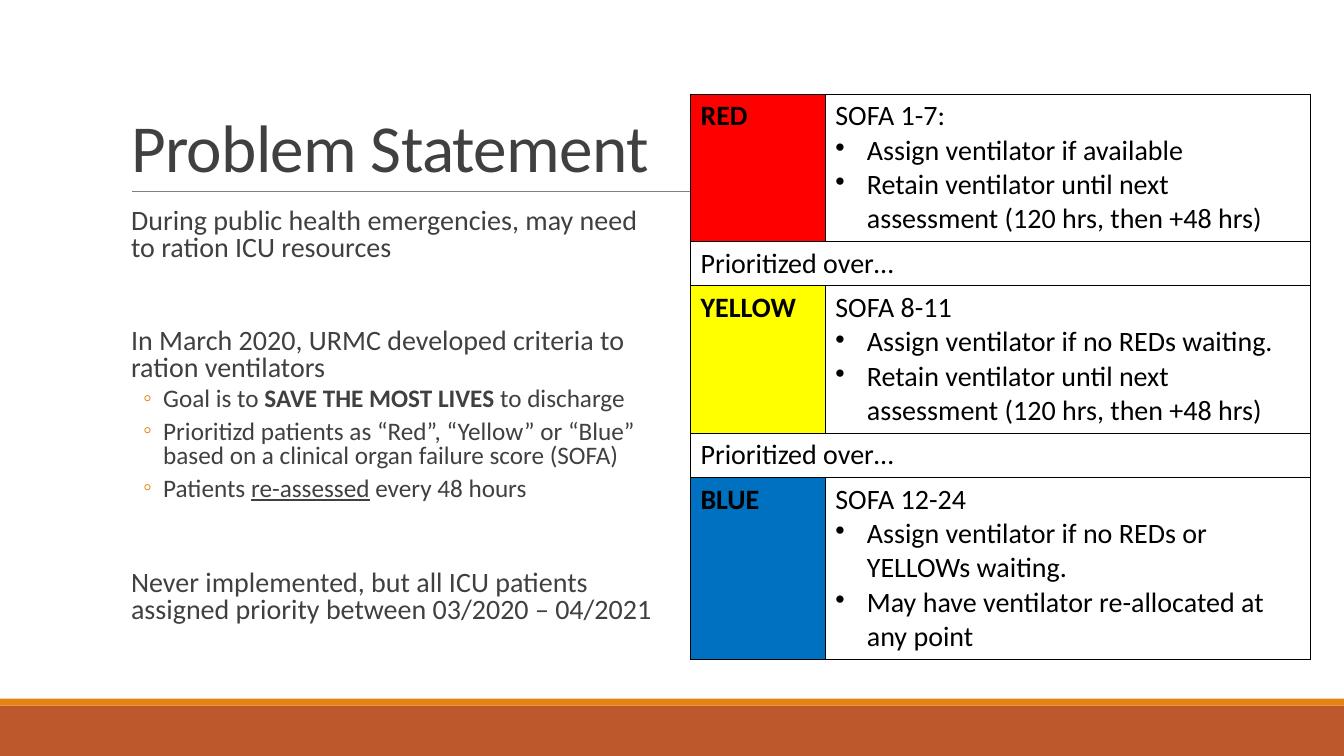
from dataclasses import dataclass
from typing import Any

from lxml.etree import SubElement
from pptx import Presentation
from pptx.dml.color import RGBColor
from pptx.enum.shapes import MSO_CONNECTOR as Link, MSO_SHAPE as Form
from pptx.enum.text import MSO_ANCHOR as Anchor, MSO_AUTO_SIZE as Fit, PP_ALIGN as Align
from pptx.oxml.ns import qn
from pptx.util import Pt

GRAY, ORANGE, BLACK, WHITE = "404040", "E48312", "000000", "FFFFFF"


@dataclass
class Bit:
    text: str
    bold: bool = False
    under: bool = False


@dataclass
class Item:
    bits: list[Bit]
    level: int = 0
    before: float = 12


@dataclass
class Band:
    name: str
    fill: str
    score: str
    rules: list[str]
    high: float


@dataclass
class Bar:
    top: float
    high: float
    fill: str


BARS = [Bar(504, 36, "BD582C"), Bar(499, 5, ORANGE)]

ITEMS = [
    Item([Bit("During public health emergencies, may need to ration ICU resources")]),
    Item([Bit("In March 2020, URMC developed criteria to ration ventilators")], before=45.5),
    Item([Bit("Goal is to "), Bit("SAVE THE MOST LIVES ", bold=True), Bit("to discharge")], 1, 2),
    Item([Bit("Prioritizd patients as “Red”, “Yellow” or “Blue” based on a clinical "
              "organ failure score (SOFA)")], 1, 2),
    Item([Bit("Patients "), Bit("re-assessed", under=True), Bit(" every 48 hours")], 1, 2),
    Item([Bit("Never implemented, but all ICU patients assigned priority between "
              "03/2020 – 04/2021")], before=45.5),
]

RETAIN = "Retain ventilator until next assessment (120 hrs, then +48 hrs)"
BANDS = [
    Band("RED", "FF0000", "SOFA 1-7:", ["Assign ventilator if available", RETAIN], 104.5),
    Band("YELLOW", "FFFF00", "SOFA 8-11", ["Assign ventilator if no REDs waiting.", RETAIN], 104.5),
    Band("BLUE", "0070C0", "SOFA 12-24", ["Assign ventilator if no REDs or YELLOWs waiting.",
                                          "May have ventilator re-allocated at any point"], 129),
]
GAP = 31.5


def paint(target: Any, color: str) -> None:
    target.solid()
    target.fore_color.rgb = RGBColor.from_string(color)


def write(para: Any, text: str, *, size: float = 20, color: str = BLACK,
          bold: bool = False, under: bool = False) -> Any:
    run = para.add_run()
    run.text = text
    font = run.font
    font.name, font.size, font.bold, font.underline = "Calibri", Pt(size), bold, under
    paint(font.fill, color)
    return run


def mark(para: Any, sign: str, left: float, hang: float, color: str) -> None:
    props = para._p.get_or_add_pPr()
    props.set("marL", str(Pt(left)))
    props.set("indent", str(-Pt(hang)))
    if sign:
        tint = SubElement(props, qn("a:buClr"))
        SubElement(tint, qn("a:srgbClr"), val=color)
        SubElement(props, qn("a:buChar"), char=sign)
    else:
        SubElement(props, qn("a:buNone"))


def place(shape: Any, left: float, top: float, wide: float, high: float) -> None:
    shape.left, shape.top, shape.width, shape.height = Pt(left), Pt(top), Pt(wide), Pt(high)


def draw_base(slide: Any) -> None:
    for bar in BARS:
        shape = slide.shapes.add_shape(Form.RECTANGLE, 0, Pt(bar.top), Pt(960), Pt(bar.high))
        shape.shadow.inherit = False
        paint(shape.fill, bar.fill)
        shape.line.fill.background()
    rule = slide.shapes.add_connector(Link.STRAIGHT, Pt(94.3), Pt(136.8), Pt(879), Pt(136.8))
    paint(rule.line.fill, "808080")
    rule.line.width = Pt(0.5)
    SubElement(rule._element.spPr, qn("a:effectLst"))


def draw_title(shape: Any) -> None:
    place(shape, 86.4, 22.3, 393.8, 114.5)
    frame = shape.text_frame
    frame.auto_size, frame.vertical_anchor = Fit.NONE, Anchor.BOTTOM
    para = frame.paragraphs[0]
    para.alignment, para.line_spacing = Align.LEFT, 0.85
    run = write(para, "Problem Statement", size=48, color=GRAY)
    run.font._element.set("spc", "-50")


def draw_body(shape: Any) -> None:
    place(shape, 86.4, 145.4, 388.8, 316.8)
    frame = shape.text_frame
    frame.auto_size, frame.vertical_anchor = Fit.NONE, Anchor.TOP
    frame.margin_left = frame.margin_right = 0
    for index, item in enumerate(ITEMS):
        para = frame.add_paragraph() if index else frame.paragraphs[0]
        sub = item.level == 1
        para.level, para.line_spacing = item.level, 0.8
        para.space_before, para.space_after = Pt(item.before), Pt(4 if sub else 2)
        if sub:
            mark(para, "◦", 30.2, 14.4, ORANGE)
        else:
            mark(para, "", 7.2, 0, ORANGE)
        for bit in item.bits:
            write(para, bit.text, size=18 if sub else 20, color=GRAY,
                  bold=bit.bold, under=bit.under)


def frame_cell(cell: Any, fill: str) -> None:
    props = cell._tc.get_or_add_tcPr()
    for side in ("lnL", "lnR", "lnT", "lnB"):
        line = SubElement(props, qn(f"a:{side}"), w=str(Pt(1)))
        solid = SubElement(line, qn("a:solidFill"))
        SubElement(solid, qn("a:srgbClr"), val=BLACK)
    paint(cell.fill, fill)


def draw_table(slide: Any) -> None:
    count = 2 * len(BANDS) - 1
    high = sum(band.high for band in BANDS) + GAP * (len(BANDS) - 1)
    table = slide.shapes.add_table(count, 2, Pt(493.2), Pt(67.3), Pt(442.8), Pt(high)).table
    table.first_row = table.horz_banding = False
    for col, wide in zip(table.columns, (96.3, 346.5)):
        col.width = Pt(wide)
    for row in range(count):
        band = BANDS[row // 2]
        left, right = table.cell(row, 0), table.cell(row, 1)
        split = row % 2 == 0
        table.rows[row].height = Pt(band.high if split else GAP)
        frame_cell(left, band.fill if split else WHITE)
        frame_cell(right, WHITE)
        if not split:
            left.merge(right)
            write(left.text_frame.paragraphs[0], "Prioritized over…")
            continue
        write(left.text_frame.paragraphs[0], band.name, bold=True)
        write(right.text_frame.paragraphs[0], band.score)
        for rule in band.rules:
            para = right.text_frame.add_paragraph()
            mark(para, "•", 22.5, 22.5, BLACK)
            write(para, rule)


def main() -> None:
    deck = Presentation()
    deck.slide_width, deck.slide_height = Pt(960), Pt(540)
    slide = deck.slides.add_slide(deck.slide_layouts[1])
    paint(slide.background.fill, WHITE)
    draw_base(slide)
    draw_title(slide.shapes.title)
    draw_body(slide.placeholders[1])
    draw_table(slide)
    deck.save("out.pptx")


if __name__ == "__main__":
    main()
